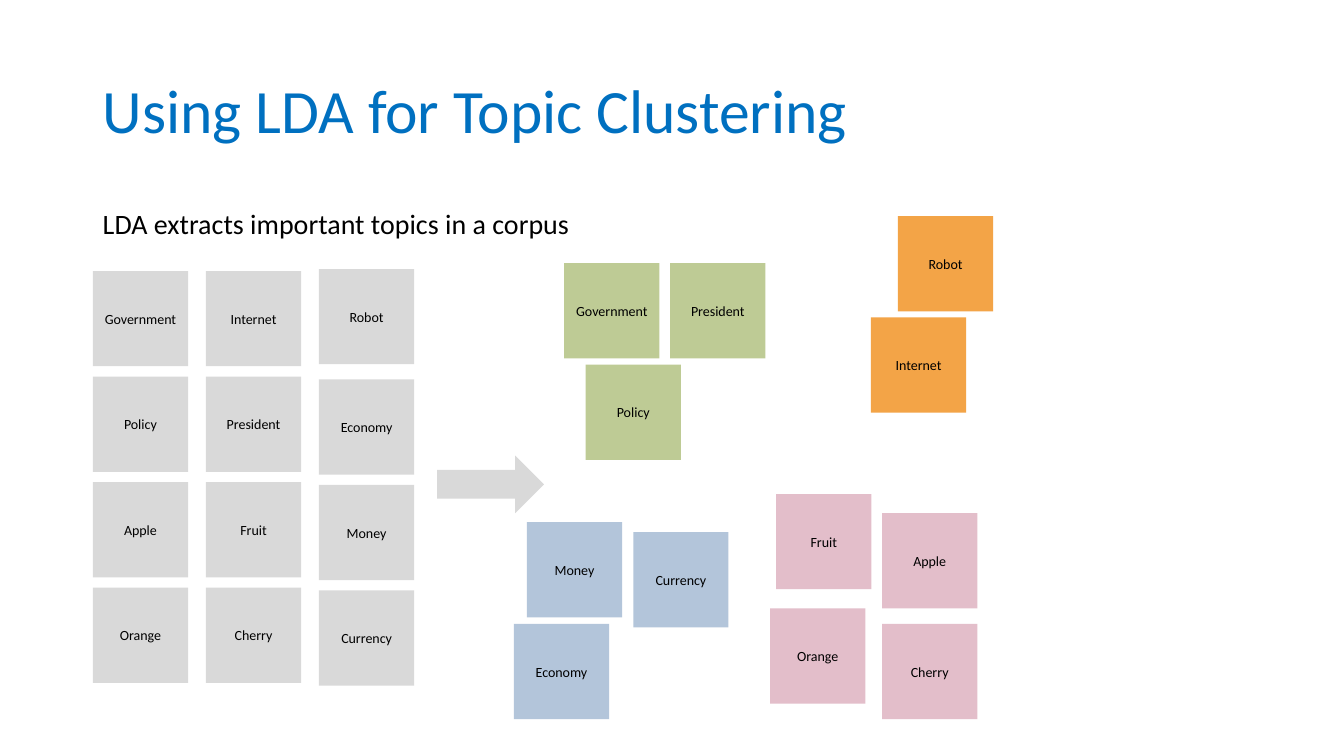
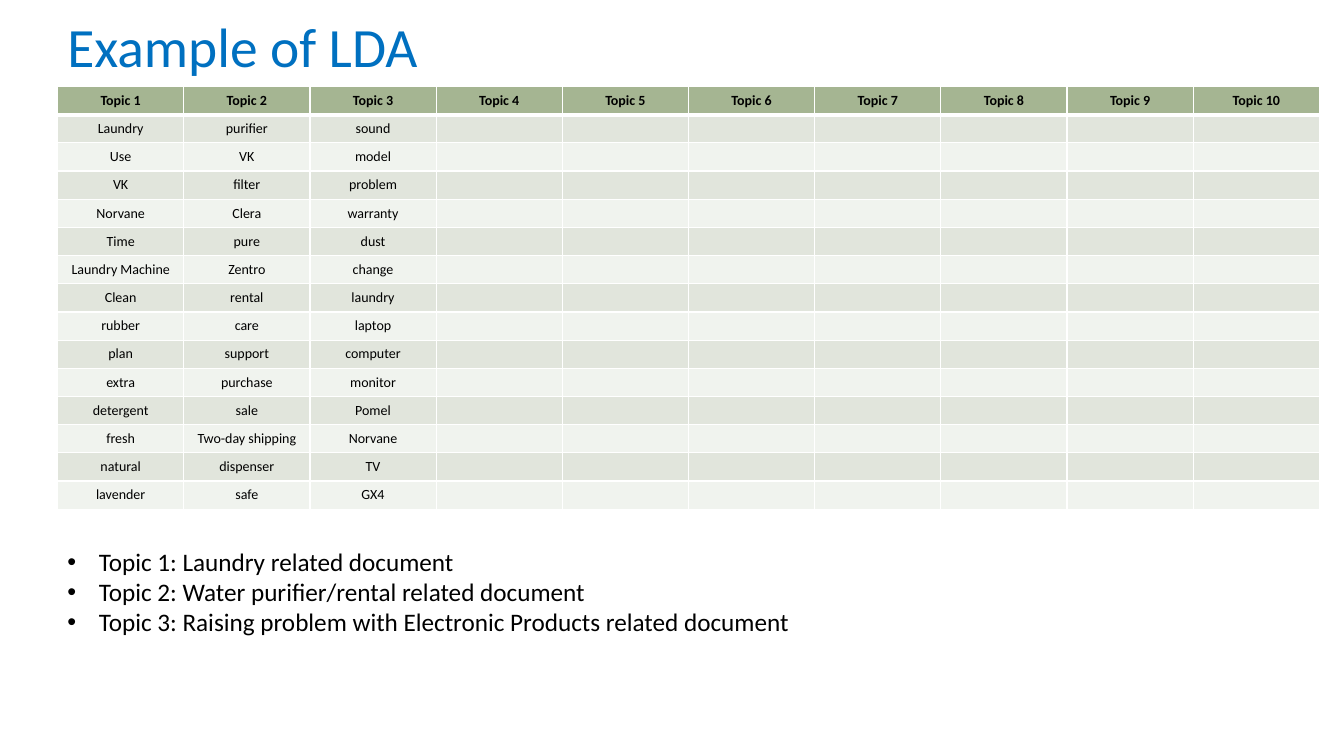
"""Build two slides on topic clustering with LDA."""
import dataclasses
import itertools

import lxml.etree
import pptx
import pptx.dml.color
import pptx.enum.shapes
import pptx.enum.text
import pptx.oxml.ns
import pptx.util

Cm = pptx.util.Cm
Pt = pptx.util.Pt
qn = pptx.oxml.ns.qn
ALIGN = pptx.enum.text.PP_ALIGN
ANCHOR = pptx.enum.text.MSO_ANCHOR
SHAPE = pptx.enum.shapes.MSO_SHAPE


@dataclasses.dataclass(frozen=True)
class Theme:
    """Colours, font and type sizes shared by the slides."""
    font: str = "Calibri"
    title: str = "0070C0"
    text: str = "000000"
    word: str = "D9D9D9"
    politics: str = "BECB95"
    technology: str = "F3A447"
    finance: str = "B3C5DA"
    food: str = "E3BECA"
    header: str = "A5B592"
    bands: tuple = ("E1E5DC", "F0F3EE")
    rule: str = "FFFFFF"
    title_size: float = 44
    compact_title_size: float = 39.6
    lead_size: float = 20
    bullet_size: float = 18
    small_size: float = 10


THEME = Theme()
TILE = 2.4

CORPUS_LEFT, CORPUS_TOP = 2.34, 6.83
CORPUS_COLUMN_PITCH, CORPUS_ROW_PITCH = 2.85, 2.66
CORPUS = [
    ["Government", "Internet", "Robot"],
    ["Policy", "President", "Economy"],
    ["Apple", "Fruit", "Money"],
    ["Orange", "Cherry", "Currency"],
]
LAST_COLUMN_SHIFTS = [-0.05, 0.07, 0.07, 0.07]

CLUSTERS = {
    THEME.technology: [("Robot", 22.63, 5.45), ("Internet", 21.95, 8)],
    THEME.politics: [("Government", 14.22, 6.63), ("Policy", 14.76, 9.19),
                     ("President", 16.89, 6.63)],
    THEME.finance: [("Money", 13.28, 13.16), ("Currency", 15.96, 13.41),
                    ("Economy", 12.95, 15.72)],
    THEME.food: [("Fruit", 19.56, 12.45), ("Apple", 22.23, 12.93),
                 ("Orange", 19.41, 15.33), ("Cherry", 22.23, 15.72)],
}

TOPIC_COUNT = 10
TOPIC_WORDS = [
    ["Laundry", "Use", "VK", "Norvane", "Time", "Laundry Machine", "Clean",
     "rubber", "plan", "extra", "detergent", "fresh", "natural", "lavender"],
    ["purifier", "VK", "filter", "Clera", "pure", "Zentro", "rental", "care",
     "support", "purchase", "sale", "Two-day shipping", "dispenser", "safe"],
    ["sound", "model", "problem", "warranty", "dust", "change", "laundry",
     "laptop", "computer", "monitor", "Pomel", "Norvane", "TV", "GX4"],
]
FINDINGS = [
    "Topic 1: Laundry related document",
    "Topic 2: Water purifier/rental related document",
    "Topic 3: Raising problem with Electronic Products related document",
]


def rgb(value):
    """Return a colour object for a hex value."""
    return pptx.dml.color.RGBColor.from_string(value)


def add_run(paragraph, text, size, color=THEME.text, bold=False):
    """Append one formatted run to a paragraph."""
    run = paragraph.add_run()
    run.text = text
    run.font.name = THEME.font
    run.font.size = Pt(size)
    run.font.bold = bold
    run.font.color.rgb = rgb(color)


def add_text_frame(slide, left, top, width, height, anchor=ANCHOR.TOP):
    """Add a wrapping text box and return its text frame."""
    box = slide.shapes.add_textbox(Cm(left), Cm(top), Cm(width), Cm(height))
    frame = box.text_frame
    frame.word_wrap = True
    frame.vertical_anchor = anchor
    return frame


def add_title(slide, text, left, top, height, size):
    """Add a slide title."""
    frame = add_text_frame(slide, left, top, 29.21, height, ANCHOR.MIDDLE)
    paragraph = frame.paragraphs[0]
    paragraph.line_spacing = 0.9
    add_run(paragraph, text, size, THEME.title)


def add_block(slide, kind, left, top, width, height, color):
    """Add a flat shape without outline or shadow."""
    block = slide.shapes.add_shape(kind, Cm(left), Cm(top), Cm(width), Cm(height))
    block.shadow.inherit = False
    block.fill.solid()
    block.fill.fore_color.rgb = rgb(color)
    block.line.fill.background()
    return block


def add_tile(slide, word, left, top, color):
    """Add a square tile holding one word."""
    frame = add_block(slide, SHAPE.RECTANGLE, left, top, TILE, TILE, color).text_frame
    frame.word_wrap = True
    frame.vertical_anchor = ANCHOR.MIDDLE
    paragraph = frame.paragraphs[0]
    paragraph.alignment = ALIGN.CENTER
    add_run(paragraph, word, THEME.small_size)


def add_corpus(slide):
    """Lay out the unsorted words, with the last column shifted slightly."""
    for row, words in enumerate(CORPUS):
        for column, word in enumerate(words):
            shift = LAST_COLUMN_SHIFTS[row] if column == len(words) - 1 else 0
            add_tile(slide, word, CORPUS_LEFT + column * CORPUS_COLUMN_PITCH,
                     CORPUS_TOP + row * CORPUS_ROW_PITCH + shift, THEME.word)


def add_bullets(slide, items, left, top, width, height):
    """Add a bulleted list."""
    frame = add_text_frame(slide, left, top, width, height)
    for index, item in enumerate(items):
        paragraph = frame.add_paragraph() if index else frame.paragraphs[0]
        properties = paragraph._p.get_or_add_pPr()
        properties.set("marL", str(Cm(0.79)))
        properties.set("indent", str(-Cm(0.79)))
        lxml.etree.SubElement(properties, qn("a:buFont"), typeface="Arial")
        lxml.etree.SubElement(properties, qn("a:buChar"), char="•")
        add_run(paragraph, item, THEME.bullet_size)


def set_borders(cell, widths):
    """Draw cell borders from a map of side to width in points."""
    properties = cell._tc.get_or_add_tcPr()
    for side, width in widths.items():
        line = lxml.etree.SubElement(properties, qn(f"a:ln{side}"), w=str(Pt(width)))
        fill = lxml.etree.SubElement(line, qn("a:solidFill"))
        lxml.etree.SubElement(fill, qn("a:srgbClr"), val=THEME.rule)


def fill_cell(cell, text, row):
    """Style one table cell according to its row and write its text."""
    header = row == 0
    set_borders(cell, {"L": 1, "R": 1, "T": 3 if row == 1 else 1, "B": 3 if header else 1})
    cell.fill.solid()
    cell.fill.fore_color.rgb = rgb(THEME.header if header else THEME.bands[(row - 1) % 2])
    cell.vertical_anchor = ANCHOR.MIDDLE
    paragraph = cell.text_frame.paragraphs[0]
    paragraph.alignment = ALIGN.CENTER
    if text:
        add_run(paragraph, text, THEME.small_size, bold=header)
    else:
        lxml.etree.SubElement(paragraph._p, qn("a:endParaRPr"),
                              sz=str(THEME.small_size * 100))


def add_topic_table(slide, left, top, width, row_height):
    """Add the table of leading words per topic."""
    headings = [f"Topic {number}" for number in range(1, TOPIC_COUNT + 1)]
    blanks = [[]] * (TOPIC_COUNT - len(TOPIC_WORDS))
    rows = [headings, *itertools.zip_longest(*TOPIC_WORDS, *blanks, fillvalue="")]
    table = slide.shapes.add_table(len(rows), TOPIC_COUNT, Cm(left), Cm(top), Cm(width),
                                   Cm(row_height * len(rows))).table
    for column in table.columns:
        column.width = Cm(width / TOPIC_COUNT)
    for row, words in enumerate(rows):
        table.rows[row].height = Cm(row_height)
        for column, word in enumerate(words):
            fill_cell(table.cell(row, column), word, row)


def build_clustering(slide):
    """Show words being sorted into topics."""
    add_title(slide, "Using LDA for Topic Clustering", 2.34, 1.02, 3.68, THEME.title_size)
    lead = add_text_frame(slide, 2.34, 5.08, 29.21, 1.35)
    add_run(lead.paragraphs[0], "LDA extracts important topics in a corpus", THEME.lead_size)
    add_corpus(slide)
    add_block(slide, SHAPE.RIGHT_ARROW, 11.02, 11.48, 2.69, 1.45, THEME.word)
    for color, tiles in CLUSTERS.items():
        for word, left, top in tiles:
            add_tile(slide, word, left, top, color)


def build_example(slide):
    """Show an example result and its reading."""
    add_title(slide, "Example of LDA", 1.45, 0.3, 1.88, THEME.compact_title_size)
    add_topic_table(slide, 1.45, 2.18, 31.8, 0.71)
    add_bullets(slide, FINDINGS, 1.45, 13.64, 29.69, 2.57)


def main():
    """Create and save the presentation."""
    presentation = pptx.Presentation()
    presentation.slide_width = Cm(33.87)
    presentation.slide_height = Cm(19.05)
    blank = presentation.slide_layouts[6]
    for build in (build_clustering, build_example):
        build(presentation.slides.add_slide(blank))
    presentation.save("out.pptx")


if __name__ == "__main__":
    main()
